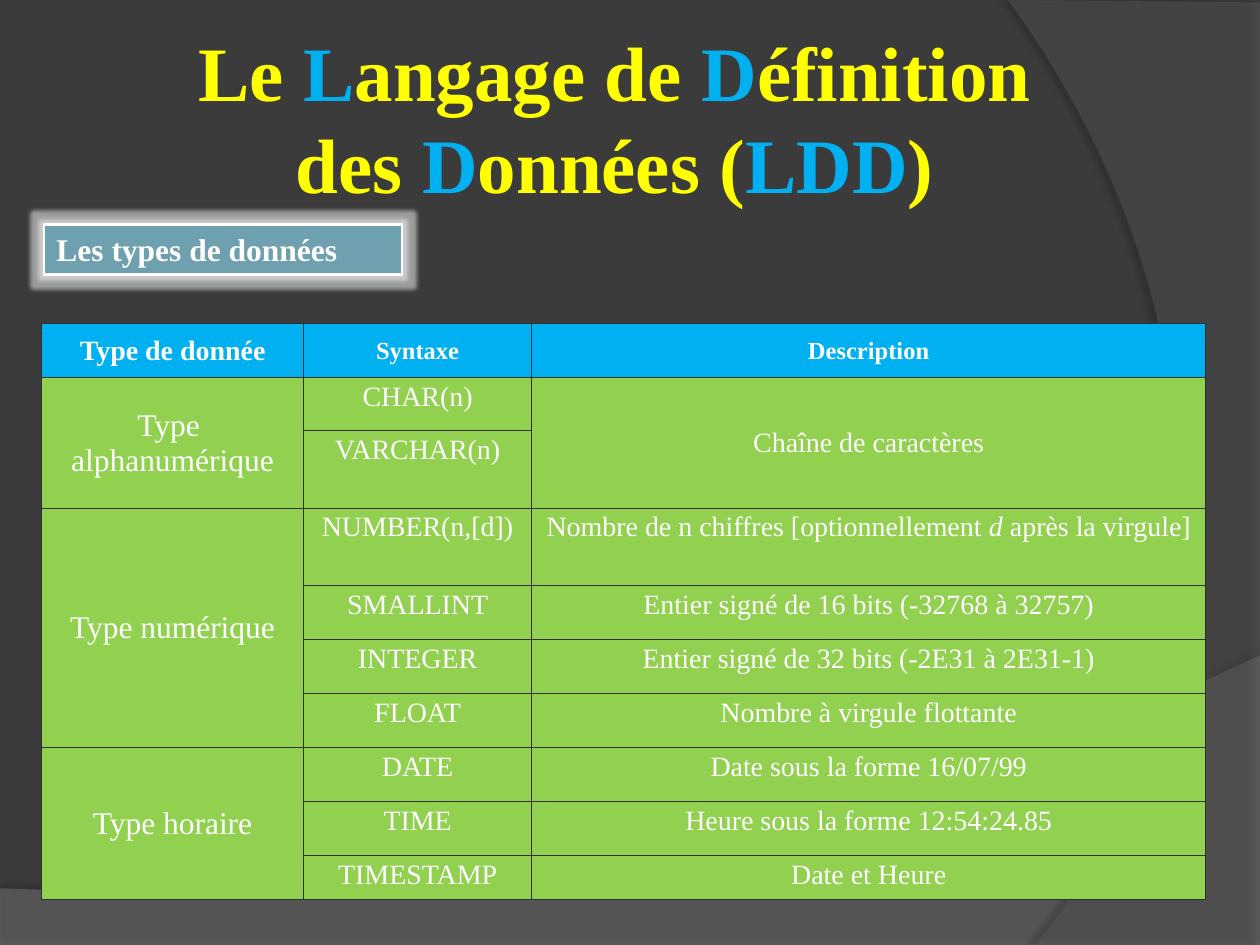
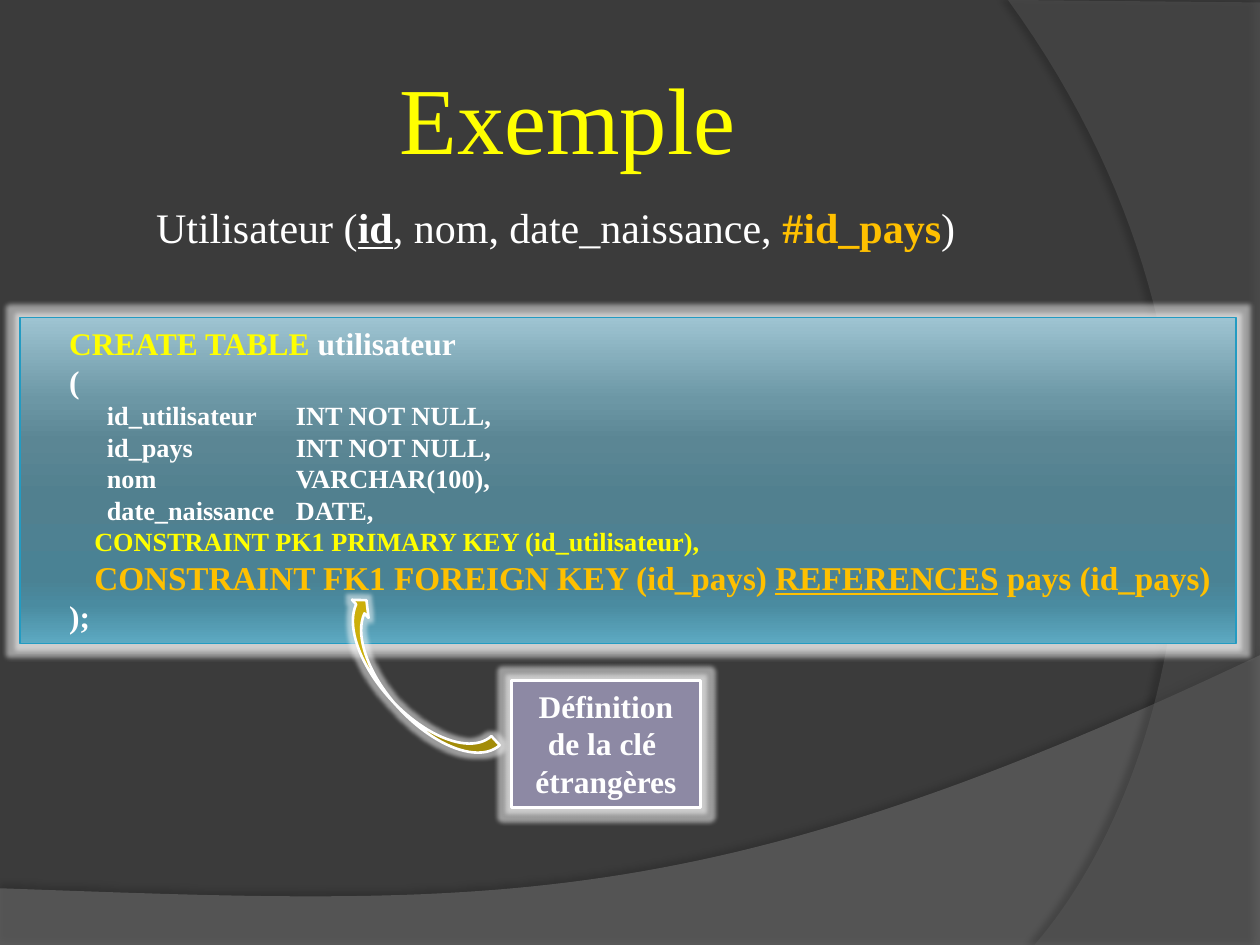
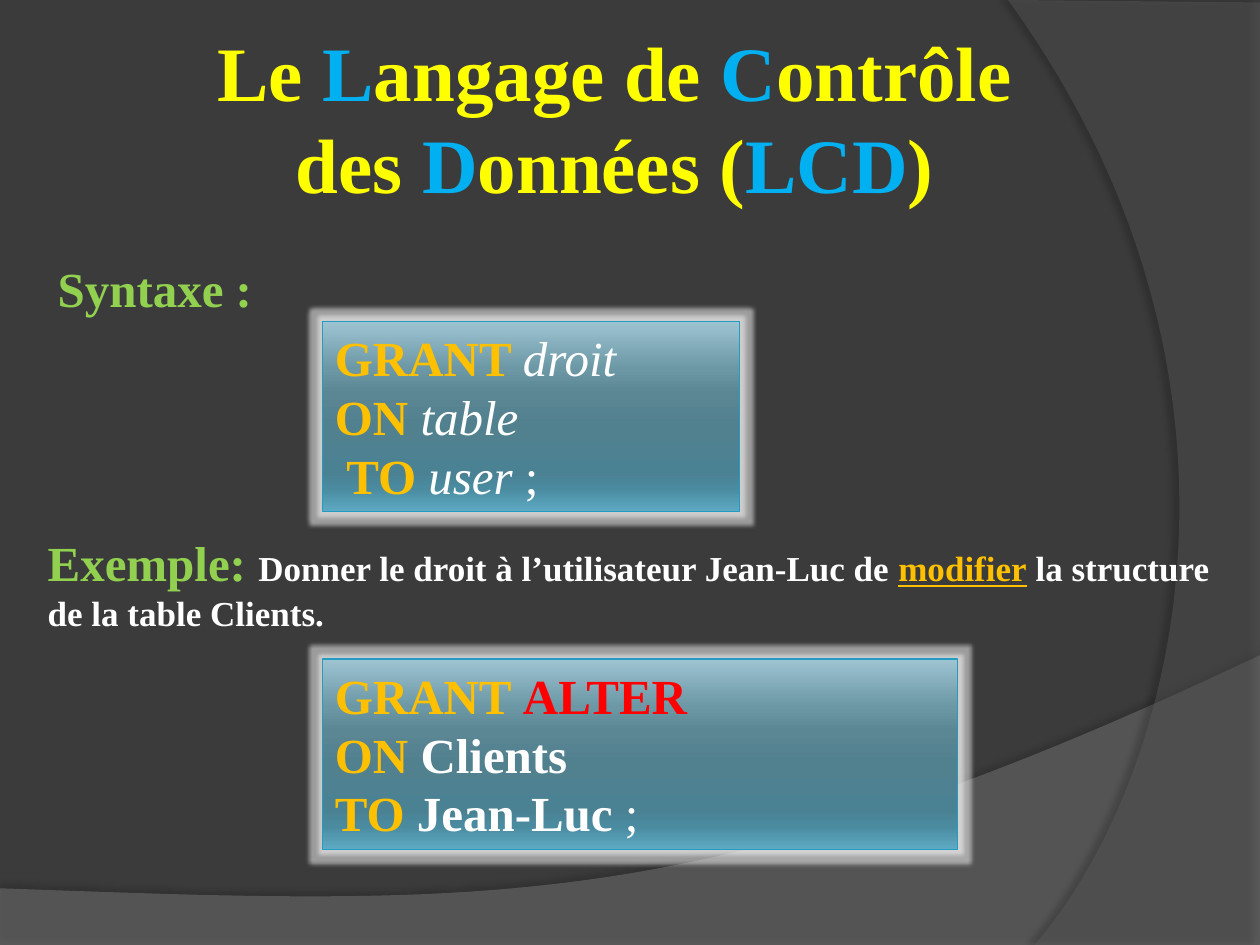
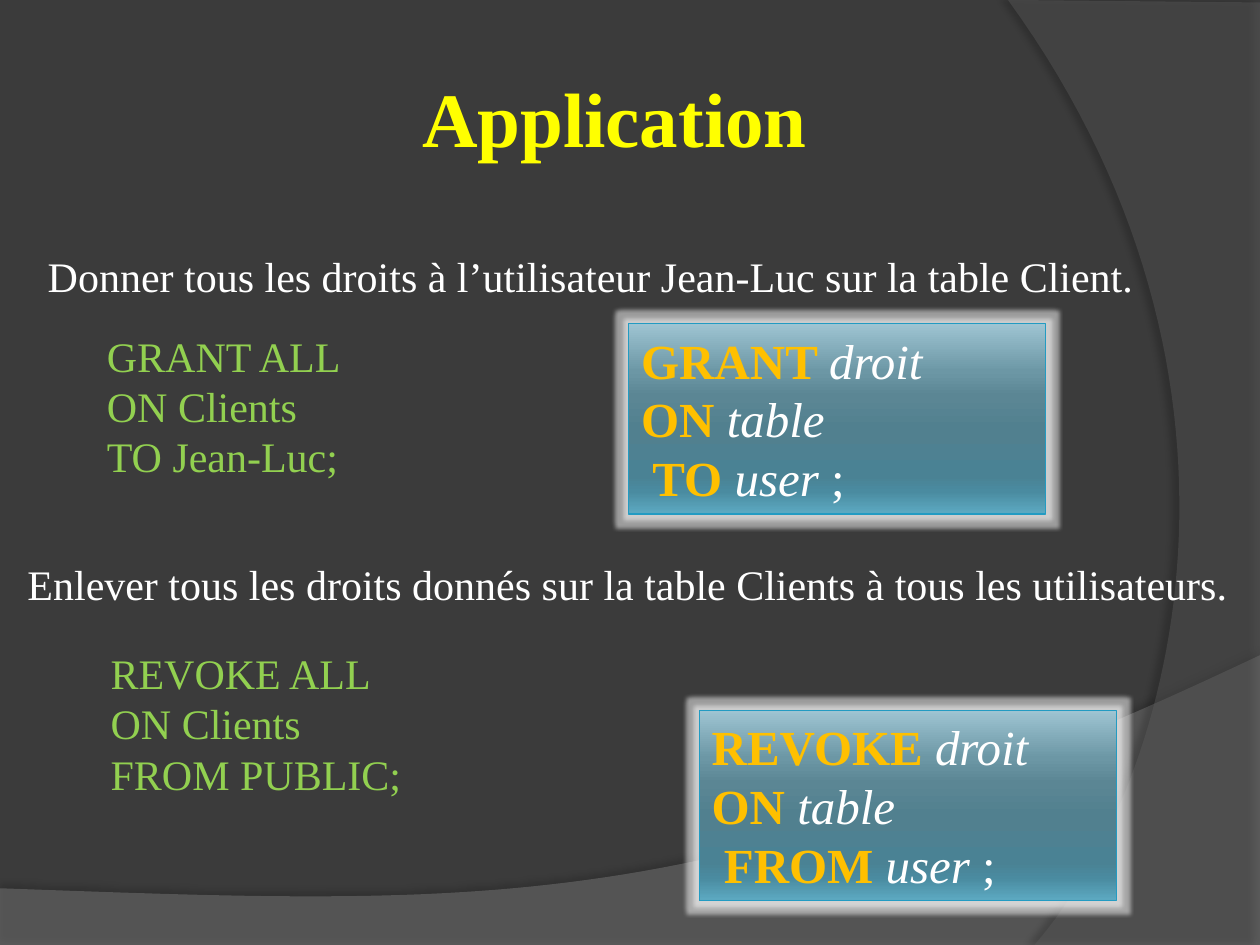
"""Builds four slides on SQL data definition and data control."""
from lxml import etree
from pptx import Presentation, util as u
from pptx.dml.color import RGBColor
from pptx.enum import shapes, text
from pptx.oxml import parse_xml
from pptx.oxml.ns import nsdecls, qn

COLUMNS, ROWS = 10, 7.5
FONT = "Times New Roman"
C = {"page": "3B3B3B", "wave": "7F7F7F", "arc": "5E5E5E", "shade": "000000",
     "white": "FFFFFF", "yellow": "FFFF00", "blue": "00B0F0", "green": "92D050",
     "orange": "FFC000", "red": "FF0000", "teal": "6EA0B0", "mauve": "8D89A4",
     "gold": "CCAF0A", "rim": "239BC2", "rule": "303030"}
PANEL_STOPS = [(0, "9EC4D2"), (25, "6C97A5"), (38, "5B8694"), (55, "51808F"),
               (80, "4A8294"), (88, "4A8BA0"), (100, "5DAAC2")]
GLOW = {"radius": 5, "opacity": 50}
WAVES = [
    {"start": (0, 7.51), "corners": [(10, 7.51), (10, 5.2)],
     "curve": [(5.59, 7.29), (3.91, 7.19), (0, 7.05)],
     "fill": ("wave", 45), "shadow": (35, 4, 3.5, 270)},
    {"start": (10, 0.02), "corners": [(10, 7.5), (8.21, 7.5)],
     "curve": [(9.35, 6.19), (10.18, 3), (8, 0)],
     "fill": ("arc", 40), "shadow": (45, 4, 4, 180)},
]
FULL_TITLE = (0.5, 0.3, 8.91, 1.25)
SHORT_TITLE = (0.5, 0.3, 8.17, 1.25)


def language_title(initial, rest, acronym):
    return [[("Le ", "yellow bold", 44), ("L", "blue bold", 44),
             ("angage de ", "yellow bold", 44), (initial, "blue bold", 44),
             (rest + " \ndes ", "yellow bold", 44), ("D", "blue bold", 44),
             ("onnées (", "yellow bold", 44), (acronym, "blue bold", 44),
             (") ", "yellow bold", 44)]]


def right_syntax(verb, link):
    return [[(verb + " ", "orange bold", 28), ("droit ", "white italic", 28)],
            [("ON ", "orange bold", 28), ("table", "white italic", 28)],
            [(f" {link} ", "orange bold", 28), ("user", "white italic", 28),
             (" ; ", "white", 28)]]


def plain(style, size, *lines):
    return [[(line, style, size)] for line in lines]


TYPE_HEADER = [("Type de donnée", 16), ("Syntaxe", 14), ("Description", 14)]
TYPE_GROUPS = [
    (["Type ", "alphanumérique"], [("CHAR(n)", "Chaîne de caractères"), ("VARCHAR(n)", None)]),
    (["Type numérique"], [
        ("NUMBER(n,[d])", [("Nombre de n chiffres [optionnellement\u00a0", "white", 16),
                           ("d", "white italic", 16),
                           ("\u00a0après la virgule]", "white", 16)]),
        ("SMALLINT", "Entier signé de 16 bits (-32768 à 32757)"),
        ("INTEGER", "Entier signé de 32 bits (-2E31 à 2E31-1)"),
        ("FLOAT", "Nombre à virgule flottante")]),
    (["Type horaire"], [
        ("DATE", "Date sous la forme 16/07/99"),
        ("TIME", "Heure sous la forme 12:54:24.85"),
        ("TIMESTAMP", "Date et Heure")]),
]
TYPE_COLUMNS = [2.08, 1.81, 5.35]
TYPE_ROWS = [0.43, 0.42, 0.62, 0.62] + [0.43] * 5 + [0.35]
TYPE_HEIGHT = 4.57

USER_FIELDS = [("id_utilisateur", "INT NOT NULL,"), ("id_pays", "INT NOT NULL,"),
               ("nom", "VARCHAR(100),"), ("date_naissance", "DATE,")]
USER_TABLE = (
    [[("CREATE TABLE ", "yellow bold", 18), ("utilisateur", "white bold", 18)],
     [("(", "white bold", 18)]]
    + plain("white bold", 15, *[f"{field}\t{kind}" for field, kind in USER_FIELDS])
    + [[("CONSTRAINT PK1 PRIMARY KEY (id_utilisateur),", "yellow bold", 15)],
       [("CONSTRAINT FK1 FOREIGN KEY (id_pays) ", "orange bold", 19),
        ("REFERENCES", "orange bold underline", 19), (" pays (id_pays)", "orange bold", 19)],
       [(");", "white bold", 18)]])
USER_INDENTS = ([(0.29, 0)] * 2 + [(2.09, -1.5)] * len(USER_FIELDS)
                + [(0.49, 0)] * 2 + [(0.29, 0)])

SLIDES = [
    [("title", FULL_TITLE, language_title("D", "éfinition", "LDD")),
     ("label", (0.35, 1.78, 2.84, 0.4), plain("white bold", 18, "Les types de données")),
     ("types", (0.33, 2.57), None)],
    [("title", SHORT_TITLE, [[("Exemple", "yellow", 54), (" ", "white", 46)]]),
     ("note", (1.14, 1.55, 8.58, 0.5),
      [[("Utilisateur (", "white", 24), ("id", "white bold underline", 24),
        (", nom, date_naissance, ", "white", 24), ("#id_pays", "orange bold", 24),
        (") ", "white", 24)]]),
     ("code", (0.16, 2.52, 9.65, 2.59), USER_TABLE),
     ("callout", (4.06, 5.4, 1.5, 1.01),
      plain("white bold", 18, " Définition ", "de la clé ", "étrangères")),
     ("pointer", (2.43, 5.24, 1.66, 0.39), [])],
    [("title", FULL_TITLE, language_title("C", "ontrôle", "LCD")),
     ("note", (0.36, 2, 1.76, 0.57), plain("green bold", 28, "Syntaxe :")),
     ("panel", (2.56, 2.55, 3.31, 1.51), right_syntax("GRANT", "TO")),
     ("panel", (2.56, 5.23, 5.04, 1.51),
      [[("GRANT ", "orange bold", 28), ("ALTER", "red bold", 28)],
       [("ON ", "orange bold", 28), ("Clients ", "white bold", 28)],
       [("TO", "orange bold", 28), (" Jean-Luc", "white bold", 28), (" ;", "white", 28)]]),
     ("note", (0.28, 4.18, 9.61, 0.91),
      [[("Exemple: ", "green bold", 28),
        ("Donner le droit à l’utilisateur Jean-Luc de ", "white bold", 20),
        ("modifier", "orange bold underline", 20),
        (" la structure de la table Clients. ", "white bold", 20)]])],
    [("title", FULL_TITLE, plain("yellow bold", 44, "Application ")),
     ("note", (0.28, 1.94, 8.98, 0.5), plain(
         "white", 24, "Donner tous les droits à l’utilisateur Jean-Luc sur la table Client. ")),
     ("note", (0.75, 2.57, 5, 1.31),
      plain("green", 24, "GRANT ALL ", "ON Clients", "TO Jean-Luc;")),
     ("note", (0.12, 4.38, 9.8, 0.5), plain(
         "white", 24,
         "Enlever tous les droits donnés sur la table Clients à tous les utilisateurs.")),
     ("note", (0.78, 5.09, 5, 1.31),
      plain("green", 24, "REVOKE ALL", "ON Clients", "FROM PUBLIC;")),
     ("panel", (4.99, 2.57, 3.31, 1.51), right_syntax("GRANT", "TO")),
     ("panel", (5.55, 5.64, 3.31, 1.51), right_syntax("REVOKE", "FROM"))],
]
LOOKS = {
    "label": {"fill": "teal", "line": ("white", 1.5)},
    "callout": {"fill": "mauve", "line": ("white", 1.5)},
    "pointer": {"fill": "gold", "line": ("white", 1.5)},
    "panel": {"line": ("rim", 0.75)},
    "code": {"line": ("rim", 0.75)},
}


def rgb(name):
    return RGBColor.from_string(C[name])


def grid(*cells):
    return [u.Inches(cell) for cell in cells]


def assign(target, values):
    for name, value in values.items():
        setattr(target, name, value)


def write(frame, paragraphs, align=text.PP_ALIGN.LEFT):
    for index, runs in enumerate(paragraphs):
        paragraph = frame.paragraphs[0] if index == 0 else frame.add_paragraph()
        paragraph.alignment = align
        for words, style, size in runs:
            colour, *flags = style.split()
            for part, line in enumerate(words.split("\n")):
                if part:
                    paragraph.add_line_break()
                run = paragraph.add_run()
                run.text = line
                assign(run.font, {"name": FONT, "size": u.Pt(size), "bold": False,
                                  **{flag: True for flag in flags}})
                run.font.color.rgb = rgb(colour)


def effect(shape, xml):
    shape.shadow.inherit = False
    shape.element.spPr.find(qn("a:effectLst")).append(parse_xml(xml))


def glow(shape):
    effect(shape, f'<a:glow {nsdecls("a")} rad="{u.Pt(GLOW["radius"])}">'
                  f'<a:srgbClr val="{C["white"]}"><a:alpha val="{GLOW["opacity"] * 1000}"/>'
                  '</a:srgbClr></a:glow>')


def shade_panel(shape):
    shape.fill.gradient()
    shape.fill.gradient_angle = 270
    stops = shape.element.spPr.find(".//" + qn("a:gsLst"))
    for stop in list(stops):
        stops.remove(stop)
    for position, colour in PANEL_STOPS:
        stop = etree.SubElement(stops, qn("a:gs"), pos=str(position * 1000))
        etree.SubElement(stop, qn("a:srgbClr"), val=colour)


def bezier(start, first, second, end, steps=60):
    for step in range(1, steps + 1):
        t = step / steps
        yield tuple((1 - t) ** 3 * a + 3 * t * (1 - t) ** 2 * b + 3 * t * t * (1 - t) * c
                    + t ** 3 * d for a, b, c, d in zip(start, first, second, end))


def add_wave(slide, layout, wave):
    points = wave["corners"] + list(bezier(wave["corners"][-1], *wave["curve"]))
    builder = slide.shapes.build_freeform(*grid(*wave["start"]))
    builder.add_line_segments([grid(*point) for point in points], close=True)
    shape = builder.convert_to_shape()
    colour, opacity = wave["fill"]
    shape.fill.solid()
    shape.fill.fore_color.rgb = rgb(colour)
    tint = shape.element.spPr.find(qn("a:solidFill")).find(qn("a:srgbClr"))
    etree.SubElement(tint, qn("a:alpha"), val=str(opacity * 1000))
    shape.line.fill.background()
    alpha, blur, distance, angle = wave["shadow"]
    effect(shape, f'<a:outerShdw {nsdecls("a")} blurRad="{u.Pt(blur)}" dist="{u.Pt(distance)}" '
                  f'dir="{angle * 60000}" algn="ctr" rotWithShape="0">'
                  f'<a:srgbClr val="{C["shade"]}"><a:alpha val="{alpha * 1000}"/></a:srgbClr>'
                  '</a:outerShdw>')
    layout.shapes.element.append(shape.element)


def fill_cell(cell, paragraphs, fill, middle):
    assign(cell, {f"margin_{side}": u.Inches(0.03) for side in ("left", "right", "top", "bottom")})
    cell.vertical_anchor = text.MSO_ANCHOR.MIDDLE if middle else text.MSO_ANCHOR.TOP
    write(cell.text_frame, paragraphs, text.PP_ALIGN.CENTER)
    properties = cell._tc.get_or_add_tcPr()
    for side in ("lnL", "lnR", "lnT", "lnB"):
        properties.append(parse_xml(
            f'<a:{side} {nsdecls("a")} w="{u.Pt(0.75)}"><a:solidFill>'
            f'<a:srgbClr val="{C["rule"]}"/></a:solidFill></a:{side}>'))
    cell.fill.solid()
    cell.fill.fore_color.rgb = rgb(fill)


def add_types(slide, corner):
    table = slide.shapes.add_table(len(TYPE_ROWS), len(TYPE_COLUMNS), *grid(
        *corner, sum(TYPE_COLUMNS), TYPE_HEIGHT)).table
    assign(table, {"first_row": False, "horz_banding": False})
    for column, width in zip(table.columns, TYPE_COLUMNS):
        column.width = u.Inches(width)
    for row, height in zip(table.rows, TYPE_ROWS):
        row.height = u.Inches(height * TYPE_HEIGHT / sum(TYPE_ROWS))
    for column, (heading, size) in enumerate(TYPE_HEADER):
        fill_cell(table.cell(0, column), plain("white bold", size, heading), "blue", True)
    top = 1
    for family, members in TYPE_GROUPS:
        last = top + len(members) - 1
        shared = members[-1][1] is None
        for row, (syntax, meaning) in enumerate(members, top):
            if isinstance(meaning, str):
                meaning = [(meaning, "white", 16)]
            fill_cell(table.cell(row, 0),
                      plain("white", 18, *family) if row == top else [], "green", True)
            fill_cell(table.cell(row, 1), plain("white", 16, syntax), "green", False)
            fill_cell(table.cell(row, 2), [meaning] if meaning else [], "green", shared)
        table.cell(top, 0).merge(table.cell(last, 0))
        if shared:
            table.cell(top, 2).merge(table.cell(last, 2))
        top = last + 1


def indent_code(frame):
    for paragraph, (margin, first_line) in zip(frame.paragraphs, USER_INDENTS):
        properties = paragraph._p.get_or_add_pPr()
        properties.set("marL", str(u.Inches(margin)))
        properties.set("indent", str(u.Inches(first_line)))


def add_part(slide, role, box, paragraphs):
    if role == "types":
        return add_types(slide, box)
    look = LOOKS.get(role)
    if look:
        kind = shapes.MSO_SHAPE.CURVED_DOWN_ARROW if role == "pointer" else shapes.MSO_SHAPE.RECTANGLE
        part = slide.shapes.add_shape(kind, *grid(*box))
        if "fill" in look:
            part.fill.solid()
            part.fill.fore_color.rgb = rgb(look["fill"])
        else:
            shade_panel(part)
        colour, width = look["line"]
        part.line.color.rgb = rgb(colour)
        part.line.width = u.Pt(width)
        glow(part)
    else:
        part = slide.shapes.add_textbox(*grid(*box))
    if role == "pointer":
        part.rotation = 227.4
        for index, value in enumerate((0.25, 0.5, 0.21)):
            part.adjustments[index] = value
        return None
    title = role == "title"
    side = u.Inches(0.05 if title else 0.1)
    assign(part.text_frame, {
        "word_wrap": True, "margin_left": side, "margin_right": side,
        "margin_top": u.Inches(0.05), "margin_bottom": u.Inches(0.05),
        "vertical_anchor": text.MSO_ANCHOR.MIDDLE if title else text.MSO_ANCHOR.TOP})
    centred = role in ("title", "callout")
    write(part.text_frame, paragraphs,
          text.PP_ALIGN.CENTER if centred else text.PP_ALIGN.LEFT)
    if role == "code":
        indent_code(part.text_frame)


deck = Presentation()
deck.slide_width, deck.slide_height = grid(COLUMNS, ROWS)
blank = deck.slide_layouts[6]
blank.background.fill.solid()
blank.background.fill.fore_color.rgb = rgb("page")
pages = [deck.slides.add_slide(blank) for _ in SLIDES]
for band in WAVES:
    add_wave(pages[0], blank, band)
for page, parts in zip(pages, SLIDES):
    for role, box, paragraphs in parts:
        add_part(page, role, box, paragraphs)
deck.save("out.pptx")
